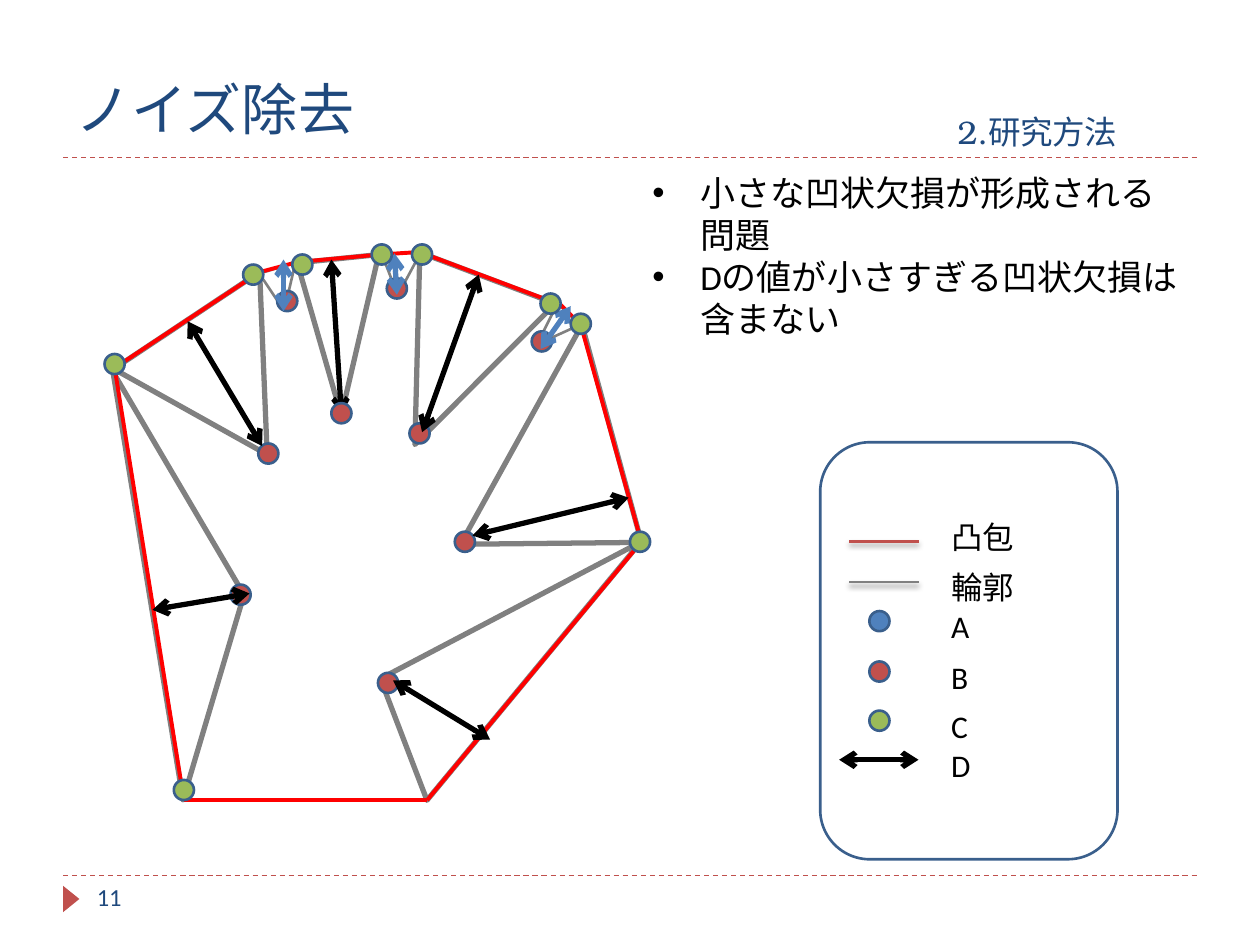
from itertools import pairwise

from lxml import etree
from pptx import Presentation
from pptx import util as u
from pptx.dml.color import RGBColor
from pptx.enum import dml, shapes, text
from pptx.oxml.ns import qn

COLUMNS, ROWS = 100, 75
NAVY, RED, BLUE, GREEN = "1F497D", "C0504D", "4F81BD", "9BBB59"
GRAY, BLACK, HULL_RED, OUTLINE = "808080", "000000", "FF0000", "3A5F8C"
DOT = 1.6


def rgb(value):
    return RGBColor.from_string(value)


class Canvas:
    """Draws on one slide; every length is in columns and rows of a 100 x 75 grid."""

    font = "Calibri"

    def __init__(self, deck):
        self.column = deck.slide_width / COLUMNS
        self.row = deck.slide_height / ROWS
        self.slide = deck.slides.add_slide(deck.slide_layouts[5])
        self.shapes = self.slide.shapes

    def box(self, left, top, width, height):
        return (round(left * self.column), round(top * self.row),
                round(width * self.column), round(height * self.row))

    def start_group(self):
        self.shapes = self.slide.shapes.add_group_shape().shapes

    def end_group(self):
        self.shapes = self.slide.shapes

    def title(self, heading, section, tab):
        """Heading at the left and a lowered section name at the tab stop."""
        holder = self.slide.shapes.title
        holder.left, holder.top, holder.width, holder.height = self.box(5, 1.7, 90, 10.8)
        frame = holder.text_frame
        frame.auto_size = text.MSO_AUTO_SIZE.NONE
        frame.vertical_anchor = text.MSO_ANCHOR.BOTTOM
        line = frame.paragraphs[0]
        line.alignment = text.PP_ALIGN.LEFT
        line.font.name, line.font.size = "TeX Gyre Bonum", u.Pt(32)
        line.font.color.rgb = rgb(NAVY)
        line.add_run().text = heading + "\t"
        lowered = line.add_run()
        lowered.text = section
        lowered.font._element.set("baseline", "-25000")
        stops = etree.Element(qn("a:tabLst"))
        etree.SubElement(stops, qn("a:tab"), pos=str(round(tab * self.column)), algn="l")
        line._p.get_or_add_pPr().insert(0, stops)

    def words(self, place, lines, size=18, color=BLACK, wrap=True, indent=0):
        """Text box; an indent turns its lines into bullets."""
        frame = self.shapes.add_textbox(*self.box(*place)).text_frame
        frame.word_wrap = wrap
        for number, line in enumerate(lines):
            paragraph = frame.add_paragraph() if number else frame.paragraphs[0]
            paragraph.text = line
            paragraph.font.name, paragraph.font.size = self.font, u.Pt(size)
            paragraph.font.color.rgb = rgb(color)
            if indent:
                margin = round(indent * self.column)
                properties = paragraph._p.get_or_add_pPr()
                properties.set("marL", str(margin))
                properties.set("indent", str(-margin))
                bullet_font = etree.Element(qn("a:buFont"), typeface="Arial")
                properties.insert(0, bullet_font)
                bullet_font.addnext(etree.Element(qn("a:buChar"), char="•"))

    def shape(self, kind, place, fill=None, line=None, weight=1.5, turn=0, adjust=None):
        item = self.shapes.add_shape(kind, *self.box(*place))
        item.shadow.inherit = False
        item.rotation = turn
        if adjust is not None:
            item.adjustments[0] = adjust
        if fill:
            item.fill.solid()
            item.fill.fore_color.rgb = rgb(fill)
        else:
            item.fill.background()
        if line:
            item.line.color.rgb = rgb(line)
            item.line.width = u.Pt(weight)
        else:
            item.line.fill.background()

    def triangle(self, place, turn, peak, weight=3):
        self.shape(shapes.MSO_SHAPE.ISOSCELES_TRIANGLE, place, line=GRAY,
                   weight=weight, turn=turn, adjust=peak)

    def dot(self, left, top, color):
        self.shape(shapes.MSO_SHAPE.FLOWCHART_CONNECTOR, (left, top, DOT, DOT), color, OUTLINE)

    def line(self, start, end, color, weight, dashed=False, arrows=False, shadow=False):
        item = self.shapes.add_connector(shapes.MSO_CONNECTOR.STRAIGHT,
                                         *self.box(*start, *end))
        item.line.color.rgb = rgb(color)
        item.line.width = u.Pt(weight)
        if dashed:
            item.line.dash_style = dml.MSO_LINE.DASH
        if arrows:
            for tip in ("a:headEnd", "a:tailEnd"):
                etree.SubElement(item.line._get_or_add_ln(), qn(tip), type="arrow")
        effects = etree.SubElement(item._element.spPr, qn("a:effectLst"))
        if shadow:
            cast = etree.SubElement(effects, qn("a:outerShdw"), blurRad=str(u.Pt(3)),
                                    dist=str(u.Pt(2)), dir="5400000", rotWithShape="0")
            tint = etree.SubElement(cast, qn("a:srgbClr"), val=BLACK)
            etree.SubElement(tint, qn("a:alpha"), val="40000")

    def arrow(self, start, end, color=BLACK):
        self.line(start, end, color, 3, arrows=True)


def draw_frame(canvas):
    for rule in (12.5, 69.5):
        canvas.line((5, rule), (95, rule), RED, 0.75, dashed=True)
    canvas.shape(shapes.MSO_SHAPE.ISOSCELES_TRIANGLE, (4.6, 70.7, 2.1, 1.3), RED, turn=90)
    canvas.title("ノイズ除去", "2.研究方法", tab=70)
    canvas.words((6.7, 69.5, 21.7, 4), ["11"], 14, NAVY)
    canvas.words((50.8, 13.1, 43.7, 17.8),
                 ["小さな凹状欠損が形成される問題", "Dの値が小さすぎる凹状欠損は含まない"],
                 20, indent=3.8)


def draw_contour(canvas):
    for place, turn, peak in [((-1.8, 42.2, 34.4, 7.4), 80.7, 0.556),
                              ((11.3, 24.4, 13.9, 12.4), 146.4, 0.541),
                              ((24.2, 20.5, 6.5, 12.4), 174.2, 0.654),
                              ((30.4, 21.6, 11.5, 14.4), 200.7, 0.563),
                              ((32.9, 29.3, 17.9, 13.9), 254.7, 0.204),
                              ((25.6, 45.9, 26.6, 9), 309.6, 0.191)]:
        canvas.triangle(place, turn, peak)
    for place, turn in [((21, 21.2, 3, 3.4), 163.2), ((30.4, 20.1, 3.1, 3.3), 176.8),
                        ((42.8, 24.5, 2.5, 3.5), 220.6)]:
        canvas.triangle(place, turn, 0.654, weight=1.5)


def draw_hull(canvas):
    corners = [(9.1, 29.2), (20.6, 21.6), (23.6, 20.8), (30.2, 20.2), (33.3, 20),
               (44.5, 24.2), (46.1, 25.8), (50.9, 43), (33.9, 63.5), (14.6, 63.5)]
    for start, end in pairwise(corners + corners[:1]):
        # Connectors are placed by their two ends
        canvas.line(start, end, HULL_RED, 2.25)


def draw_legend(canvas):
    canvas.start_group()
    canvas.shape(shapes.MSO_SHAPE.ROUNDED_RECTANGLE, (65.1, 35.1, 23.6, 33.1), line=OUTLINE)
    for height, color in [(43, RED), (46.2, GRAY)]:
        canvas.line((67.4, height), (72.9, height), color, 1.5, shadow=True)
    for top, color in [(48.5, BLUE), (52.5, RED), (56.4, GREEN)]:
        canvas.dot(69, top, color)
    canvas.arrow((66.6, 60.3), (72.9, 60.3))
    for top, label in [(40.6, "凸包"), (44.6, "輪郭"), (47.7, "A"), (51.7, "B"),
                       (55.6, "C"), (58.7, "D")]:
        canvas.words((74.5, top, 8.7, 4), [label])
    canvas.end_group()


def draw_depths(canvas):
    for left, top in [(42.2, 26.3), (30.7, 22.1), (22, 23.1), (30, 53.4), (36.1, 42.2),
                      (32.5, 33.6), (20.5, 35.2), (18.3, 46.4)]:
        canvas.dot(left, top, RED)
    for start, end in [((31.2, 54), (38.9, 58.7)), ((37.5, 42.5), (49.9, 39.5)),
                       ((33.5, 34.3), (38, 21.8)), ((27.1, 32.9), (26.3, 20.6)),
                       ((20.8, 35.4), (14.9, 25.5)), ((12.1, 48.4), (19.8, 47.1))]:
        canvas.arrow(start, end)
    canvas.dot(26.3, 32, RED)
    for start, end in [((45.3, 24.3), (42.9, 27.7)), ((31.3, 20.1), (31.5, 23.4)),
                       ((22.5, 20.6), (22.5, 24.7))]:
        canvas.arrow(start, end, BLUE)
    for left, top in [(50, 42.2), (45.3, 24.9), (42.9, 23.3), (32.7, 19.4), (29.5, 19.4),
                      (23.2, 20.2), (19.3, 21), (8.3, 28.1), (13.8, 61.9)]:
        canvas.dot(left, top, GREEN)


def main():
    deck = Presentation()
    deck.slide_width, deck.slide_height = u.Inches(10), u.Inches(7.5)
    canvas = Canvas(deck)
    for draw in (draw_frame, draw_contour, draw_hull, draw_legend, draw_depths):
        draw(canvas)
    deck.save("out.pptx")


if __name__ == "__main__":
    main()
